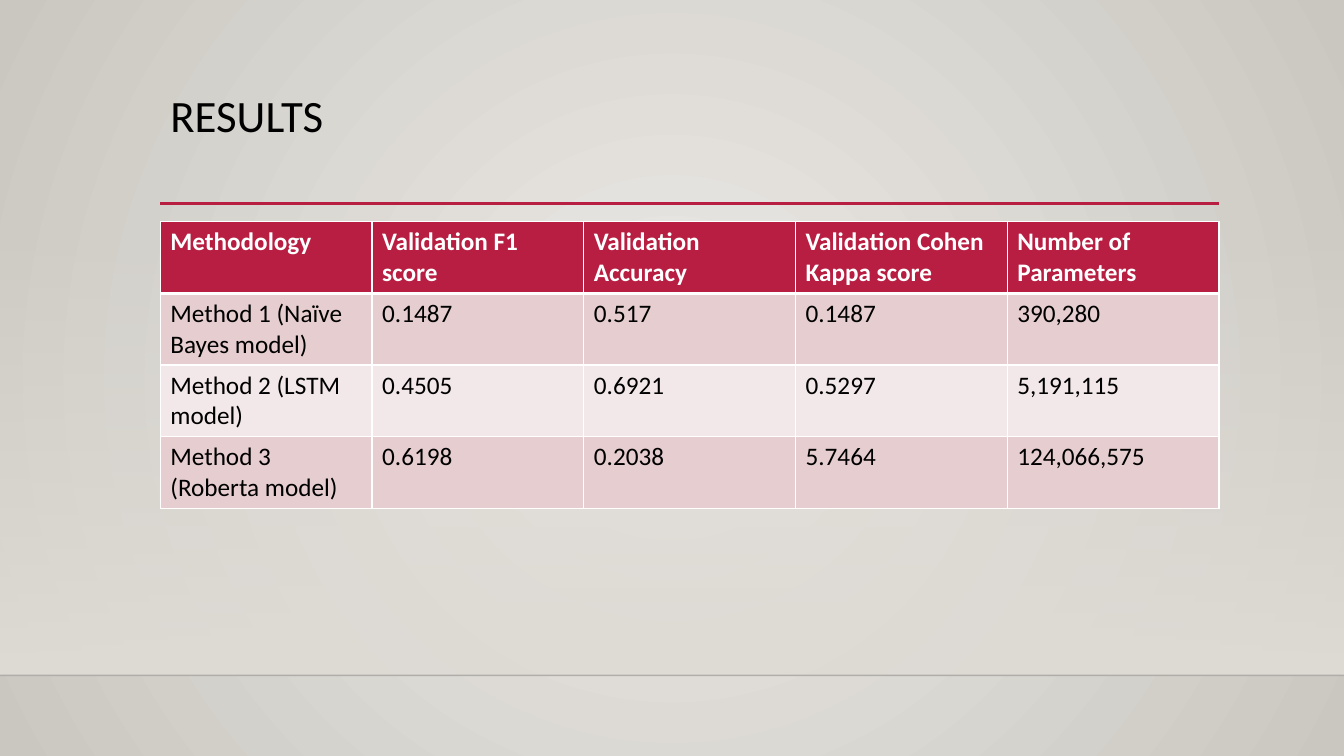
from pptx import Presentation
from pptx.dml.color import RGBColor
from pptx.enum.shapes import MSO_CONNECTOR, MSO_SHAPE
from pptx.enum.text import MSO_ANCHOR, PP_ALIGN
from pptx.oxml import parse_xml
from pptx.oxml.ns import nsdecls, qn
from pptx.oxml.xmlchemy import OxmlElement
from pptx.util import Inches, Pt

FONT = "Calibri"
CRIMSON, BLACK, WHITE = "B71E42", "000000", "FFFFFF"
BAND_FILLS = ["E6CDCF", "F3E8E9"]
SLIDE_WIDTH, SLIDE_HEIGHT = 13.33, 7.5
LEFT, WIDTH = 1.59, 10.5

RESULTS = [
    ["Methodology", "Validation F1 score", "Validation Accuracy",
     "Validation Cohen Kappa score", "Number of Parameters"],
    ["Method 1 (Naïve Bayes model)", "0.1487", "0.517", "0.1487", "390,280"],
    ["Method 2 (LSTM model)", "0.4505", "0.6921", "0.5297", "5,191,115"],
    ["Method 3 (Roberta model)", "0.6198", "0.2038", "5.7464", "124,066,575"],
]


def set_color(color_format, hex_color):
    color_format.rgb = RGBColor.from_string(hex_color)


def style_text(paragraph, size, color, bold=False):
    for run in paragraph.runs:
        run.font.name = FONT
        run.font.size = Pt(size)
        run.font.bold = bold
        set_color(run.font.color, color)


def set_gradient(fill, properties, stops, direction):
    fill.solid()
    set_color(fill.fore_color, WHITE)
    stop_xml = "".join(
        f'<a:gs pos="{position * 1000}"><a:srgbClr val="{color}">'
        f'<a:alpha val="{opacity * 1000}"/></a:srgbClr></a:gs>'
        for position, color, opacity in stops)
    gradient = parse_xml(
        f'<a:gradFill {nsdecls("a")} rotWithShape="1">'
        f'<a:gsLst>{stop_xml}</a:gsLst>{direction}</a:gradFill>')
    properties.replace(properties.find(qn("a:solidFill")), gradient)


def add_rule(slide, left, top, width, color, weight, opacity=100):
    rule = slide.shapes.add_connector(
        MSO_CONNECTOR.STRAIGHT, Inches(left), Inches(top),
        Inches(left + width), Inches(top))
    set_color(rule.line.color, color)
    rule.line.width = Pt(weight)
    properties = rule._element.spPr
    properties.append(OxmlElement("a:effectLst"))
    if opacity < 100:
        alpha = OxmlElement("a:alpha")
        alpha.set("val", str(opacity * 1000))
        properties.find(".//" + qn("a:srgbClr")).append(alpha)


def add_backdrop(slide, left, top, width, height):
    background_fill = slide.background.fill
    background_fill.solid()
    set_gradient(
        background_fill, slide._element.find(".//" + qn("p:bgPr")),
        [(0, "ECEAE7", 100), (100, "CAC7C1", 100)],
        '<a:path path="circle"><a:fillToRect l="50000" t="50000" '
        'r="50000" b="50000"/></a:path>')
    wall = slide.shapes.add_shape(
        MSO_SHAPE.RECTANGLE, Inches(left), Inches(top),
        Inches(width), Inches(height))
    wall.shadow.inherit = False
    wall.line.fill.background()
    set_gradient(
        wall.fill, wall._element.spPr,
        [(0, "DFDBD5", 0), (100, "DFDBD5", 100)],
        '<a:lin ang="5400000" scaled="0"/>')
    add_rule(slide, left, top + height, width, "000001", 1, opacity=20)


def add_heading(slide, left, top, width, height):
    heading = slide.shapes.title
    heading.left, heading.top = Inches(left), Inches(top)
    heading.width, heading.height = Inches(width), Inches(height)
    frame = heading.text_frame
    frame.text = "RESULTS"
    frame.word_wrap = True
    frame.vertical_anchor = MSO_ANCHOR.TOP
    paragraph = frame.paragraphs[0]
    paragraph.alignment = PP_ALIGN.LEFT
    paragraph.line_spacing = 0.9
    style_text(paragraph, 32, BLACK)
    add_rule(slide, left, top + 1.14, width, CRIMSON, 2.5)


def set_borders(cell, bottom_weight, top_weight):
    properties = cell._tc.get_or_add_tcPr()
    weights = {"lnL": 1, "lnR": 1, "lnT": top_weight, "lnB": bottom_weight}
    for index, (side, weight) in enumerate(weights.items()):
        properties.insert(index, parse_xml(
            f'<a:{side} {nsdecls("a")} w="{Pt(weight)}"><a:solidFill>'
            f'<a:srgbClr val="{WHITE}"/></a:solidFill></a:{side}>'))


def add_results_table(slide, left, top, width, height):
    table = slide.shapes.add_table(
        len(RESULTS), len(RESULTS[0]), Inches(left), Inches(top),
        Inches(width), Inches(height)).table
    for row_index, results in enumerate(RESULTS):
        is_header = row_index == 0
        fill = CRIMSON if is_header else BAND_FILLS[(row_index - 1) % 2]
        for column_index, result in enumerate(results):
            cell = table.cell(row_index, column_index)
            cell.text = result
            style_text(cell.text_frame.paragraphs[0], 18,
                       WHITE if is_header else BLACK, is_header)
            cell.fill.solid()
            set_color(cell.fill.fore_color, fill)
            set_borders(cell, 3 if is_header else 1, 3 if row_index == 1 else 1)


def build_results_slide(presentation):
    slide = presentation.slides.add_slide(presentation.slide_layouts[5])
    add_backdrop(slide, 0, 2.21, SLIDE_WIDTH, 4.49)
    add_heading(slide, LEFT, 0.88, WIDTH, 1.15)
    add_results_table(slide, LEFT, 2.2, WIDTH, 2.84)


presentation = Presentation()
presentation.slide_width = Inches(SLIDE_WIDTH)
presentation.slide_height = Inches(SLIDE_HEIGHT)
build_results_slide(presentation)
presentation.save("out.pptx")
